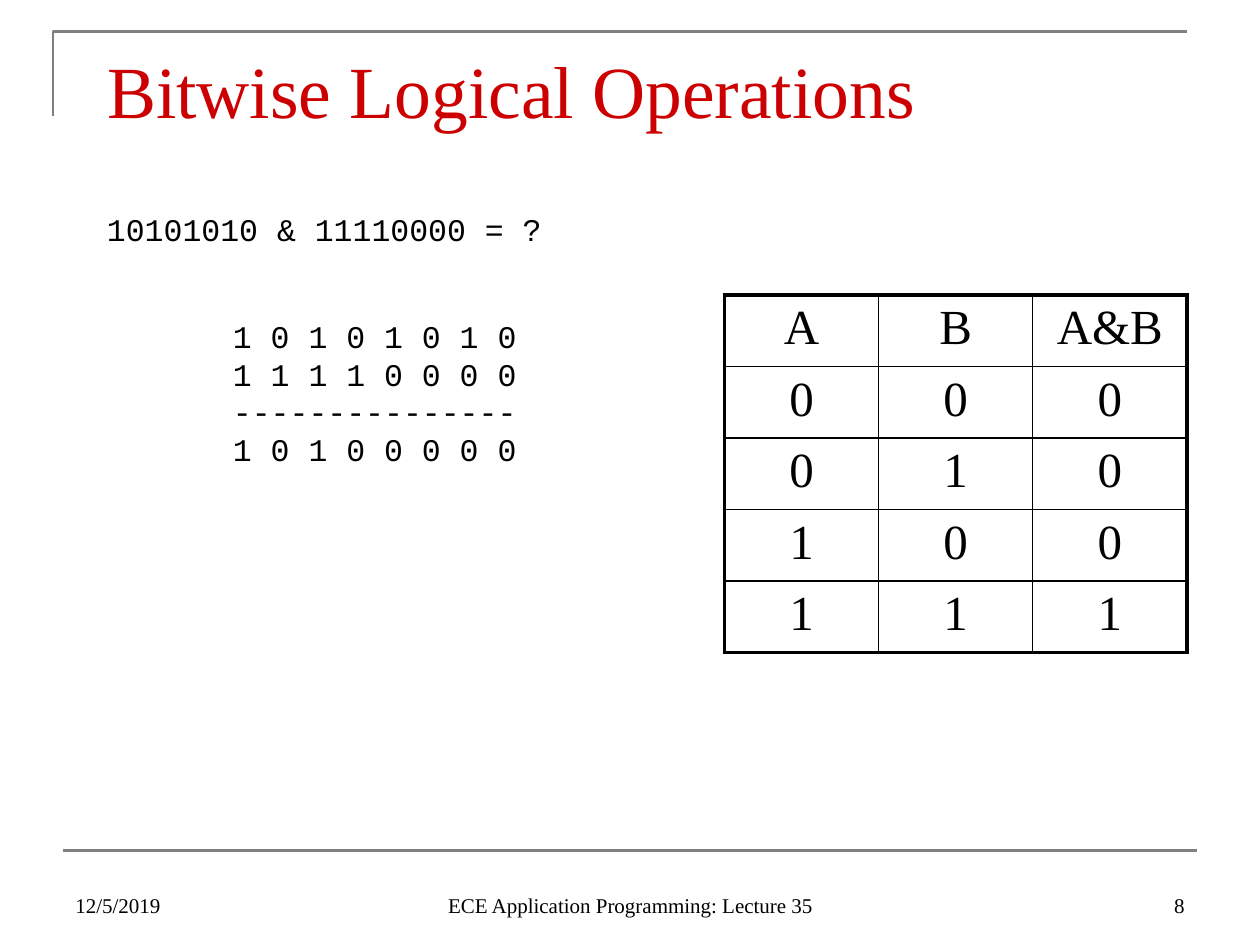
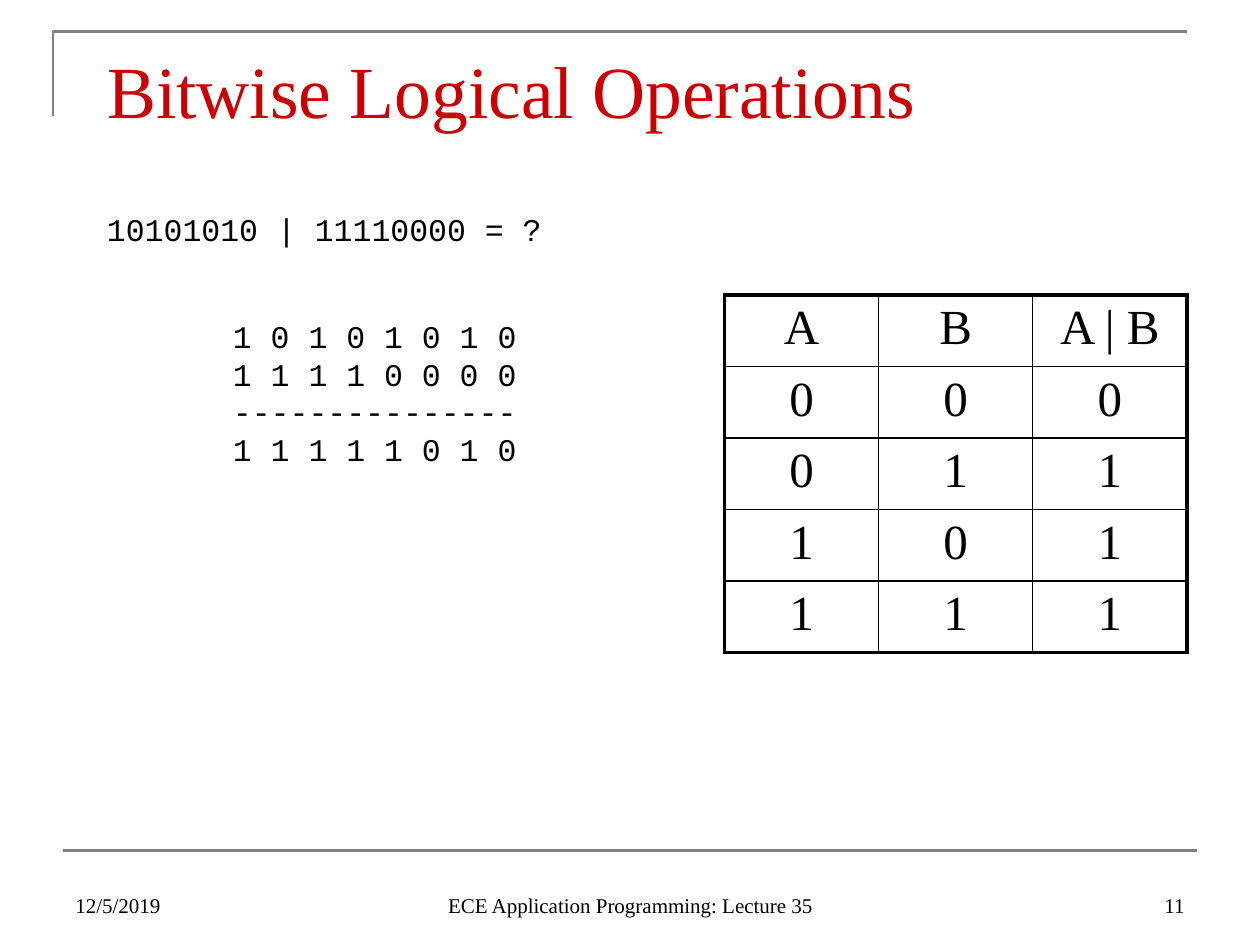
from dataclasses import dataclass
from itertools import product
from typing import Callable

from lxml import etree
from pptx import Presentation
from pptx import util as u
from pptx.dml.color import RGBColor
from pptx.enum import shapes, text
from pptx.oxml import ns

In = u.Inches


@dataclass(frozen=True)
class Theme:
    title_color: str = "CC0000"
    ink: str = "000000"
    rule: str = "808080"
    serif: str = "Times New Roman"
    mono: str = "Courier New"
    title_size: float = 42
    table_size: float = 28
    code_size: float = 18
    footer_size: float = 12
    code_leading: float = 21.5
    code_gap: float = 39.5
    rule_width: float = 1.5
    outer_border: float = 2.25
    inner_border: float = 1


@dataclass(frozen=True)
class Operation:
    symbol: str
    heading: str
    apply: Callable[[int, int], int]
    page_number: int


@dataclass(frozen=True)
class Footer:
    content: str
    left: float
    width: float
    align: text.PP_ALIGN


THEME = Theme()
TITLE = "Bitwise Logical Operations"
FIRST, SECOND = "10101010", "11110000"
OPERATIONS = [
    Operation("&", "A&B", lambda a, b: a & b, 8),
    Operation("|", "A | B", lambda a, b: a | b, 11),
]


def write(para, content: str, *, size: float, font: str = THEME.serif,
          color: str = THEME.ink, align: text.PP_ALIGN = text.PP_ALIGN.LEFT) -> None:
    """Fill a paragraph; newlines become line breaks."""
    para.text = content
    para.alignment = align
    for span in para.runs:
        span.font.size = u.Pt(size)
        span.font.name = font
        span.font.color.rgb = RGBColor.from_string(color)


def add_box(page, left: float, top: float, width: float, height: float,
            anchor: text.MSO_ANCHOR = text.MSO_ANCHOR.TOP):
    box = page.shapes.add_textbox(In(left), In(top), In(width), In(height))
    frame = box.text_frame
    frame.word_wrap = True
    frame.vertical_anchor = anchor
    return frame


def style_rule(line) -> None:
    line.color.rgb = RGBColor.from_string(THEME.rule)
    line.width = u.Pt(THEME.rule_width)


def add_rules(page) -> None:
    """Draw the corner rule above the title and the rule above the footer."""
    builder = page.shapes.build_freeform(In(0.42), In(0.92))
    builder.add_line_segments([(In(0.42), In(0.25)), (In(9.42), In(0.25))], close=False)
    corner = builder.convert_to_shape()
    corner.fill.background()
    corner.shadow.inherit = False
    style_rule(corner.line)

    base = page.shapes.add_connector(
        shapes.MSO_CONNECTOR.STRAIGHT, In(0.5), In(6.75), In(9.5), In(6.75))
    style_rule(base.line)
    etree.SubElement(base._element.spPr, ns.qn("a:effectLst"))


def add_title(page) -> None:
    title = page.shapes.title
    title.left, title.top, title.width, title.height = In(0.75), In(0.25), In(8.5), In(0.92)
    title.text_frame.vertical_anchor = text.MSO_ANCHOR.MIDDLE
    write(title.text_frame.paragraphs[0], TITLE,
          size=THEME.title_size, color=THEME.title_color)


def add_footers(page, page_number: int) -> None:
    footers = [
        Footer("12/5/2019", 0.5, 2.33, text.PP_ALIGN.LEFT),
        Footer("ECE Application Programming: Lecture 35", 3.42, 3.17, text.PP_ALIGN.CENTER),
        Footer(str(page_number), 7.17, 2.33, text.PP_ALIGN.RIGHT),
    ]
    for footer in footers:
        frame = add_box(page, footer.left, 6.83, footer.width, 0.5, text.MSO_ANCHOR.BOTTOM)
        write(frame.paragraphs[0], footer.content,
              size=THEME.footer_size, align=footer.align)


def add_working(page, operation: Operation) -> None:
    """Write the question and, indented below it, the bit-by-bit answer."""
    result = format(operation.apply(int(FIRST, 2), int(SECOND, 2)), "08b")
    first, second, answer = (" ".join(bits) for bits in (FIRST, SECOND, result))
    frame = add_box(page, 0.75, 1.58, 5.25, 3.49)
    frame.margin_top = In(0.09)
    question, working = frame.paragraphs[0], frame.add_paragraph()
    write(question, f"{FIRST} {operation.symbol} {SECOND} = ?",
          size=THEME.code_size, font=THEME.mono)
    write(working, "\n".join([first, second, "-" * len(first), answer]),
          size=THEME.code_size, font=THEME.mono)
    for para in (question, working):
        para.line_spacing = u.Pt(THEME.code_leading)
    working.space_before = u.Pt(THEME.code_gap)
    properties = working._p.get_or_add_pPr()
    properties.set("marL", str(In(1)))
    properties.set("indent", "0")


def set_borders(cell, outer_sides: dict[str, bool]) -> None:
    """Give each side (L, R, T, B) the outer or the inner border width."""
    properties = cell._tc.get_or_add_tcPr()
    for position, (side, is_outer) in enumerate(outer_sides.items()):
        width = THEME.outer_border if is_outer else THEME.inner_border
        line = etree.Element(ns.qn(f"a:ln{side}"), w=str(u.Pt(width)))
        fill = etree.SubElement(line, ns.qn("a:solidFill"))
        etree.SubElement(fill, ns.qn("a:srgbClr"), val=THEME.ink)
        properties.insert(position, line)


def add_truth_table(page, operation: Operation) -> None:
    rows = [("A", "B", operation.heading)]
    rows += [(a, b, operation.apply(a, b)) for a, b in product((0, 1), repeat=2)]
    last_row, last_column = len(rows) - 1, len(rows[0]) - 1
    table = page.shapes.add_table(len(rows), len(rows[0]), In(5.75), In(2.34),
                                  In(3.67), In(2.83)).table
    table.first_row = table.horz_banding = False
    for r, values in enumerate(rows):
        for c, value in enumerate(values):
            cell = table.cell(r, c)
            cell.fill.background()
            write(cell.text_frame.paragraphs[0], str(value),
                  size=THEME.table_size, align=text.PP_ALIGN.CENTER)
            set_borders(cell, {"L": c == 0, "R": c == last_column,
                               "T": r == 0, "B": r == last_row})


def main() -> None:
    deck = Presentation()
    deck.slide_width, deck.slide_height = In(10), In(7.5)
    title_only = deck.slide_layouts[5]
    for operation in OPERATIONS:
        page = deck.slides.add_slide(title_only)
        add_rules(page)
        add_title(page)
        add_working(page, operation)
        add_truth_table(page, operation)
        add_footers(page, operation.page_number)
    deck.save("out.pptx")


if __name__ == "__main__":
    main()
